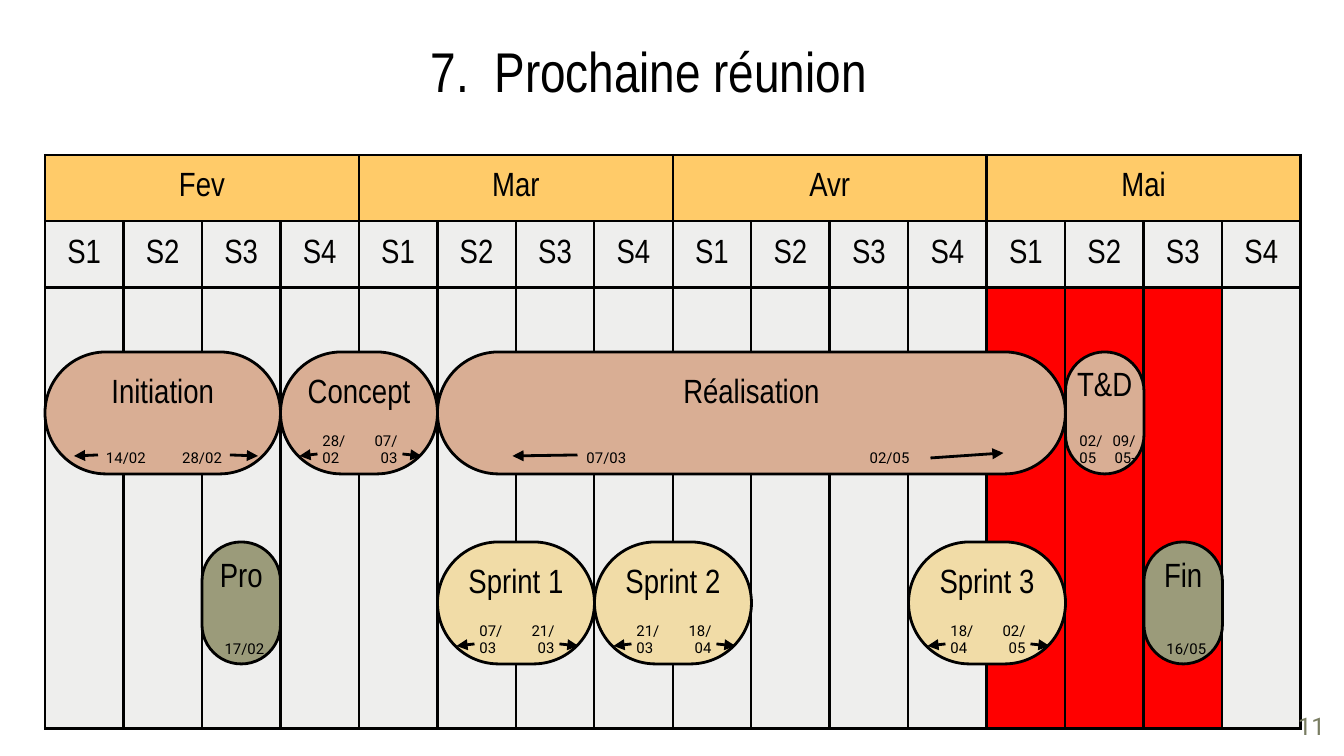
from dataclasses import dataclass

from lxml.etree import SubElement
from pptx import Presentation
from pptx.dml.color import RGBColor
from pptx.enum.shapes import MSO_CONNECTOR as Connector, MSO_SHAPE as Shape
from pptx.enum.text import MSO_ANCHOR as Anchor, PP_ALIGN as Align
from pptx.oxml import parse_xml
from pptx.oxml.ns import nsdecls, qn
from pptx.util import Pt

EMU_PER_PX = 914400 / 134.4


@dataclass(frozen=True)
class Theme:
    black: str = "000000"
    month: str = "FFCB69"
    week: str = "EEEEED"
    highlight: str = "FF0000"
    phase: str = "D9AE94"
    sprint: str = "F1DCA7"
    milestone: str = "9B9B7A"
    number: str = "797D62"
    narrow: str = "Arial Narrow"
    plain: str = "Roboto"
    title_size: int = 30
    label_size: int = 18
    number_size: int = 13
    date_size: int = 8
    line_width: float = 1.5


@dataclass(frozen=True)
class Date:
    text: str
    left: int
    width: int
    align: Align
    top: int = 0


@dataclass(frozen=True)
class Bar:
    label: str
    week: int
    span: int
    top: int
    color: str
    dates: tuple
    arrows: tuple = ()


THEME = Theme()
GRID_LEFT, GRID_TOP, GRID_WIDTH = 45, 155, 1256
ROW_HEIGHTS = (60, 65, 441)
MONTHS = ("Fev", "Mar", "Avr", "Mai")
WEEKS_PER_MONTH = 4
WEEK_COUNT = len(MONTHS) * WEEKS_PER_MONTH
HIGHLIGHTED_WEEKS = range(12, 15)
BAR_HEIGHT = 122
PHASE_TOP, SPRINT_TOP = 352, 542
INSET, DATE_INDENT = 13, 7
SHORT_ARROWS = ((37, 102, 19, 104), (122, 102, 141, 104))


def px(value):
    return round(value * EMU_PER_PX)


def color_of(code):
    return RGBColor.from_string(code)


def write(text_frame, text, size, font_name, align, color=THEME.black):
    text_frame.text = text
    paragraph = text_frame.paragraphs[0]
    paragraph.alignment = align
    for run in paragraph.runs:
        run.font.size = Pt(size)
        run.font.name = font_name
        run.font.bold = False
        run.font.color.rgb = color_of(color)
    return paragraph


def set_margins(target, left, top, right, bottom):
    target.margin_left, target.margin_top = px(left), px(top)
    target.margin_right, target.margin_bottom = px(right), px(bottom)


def add_text(shapes, box, margins, anchor, *style):
    text_frame = shapes.add_textbox(*map(px, box)).text_frame
    text_frame.word_wrap = True
    text_frame.vertical_anchor = anchor
    set_margins(text_frame, *margins)
    return write(text_frame, *style)


def add_date(shapes, date, bar_left, bar_top):
    box = (bar_left + date.left, bar_top + date.top, date.width, BAR_HEIGHT - date.top)
    paragraph = add_text(shapes, box, (0, 0, 0, DATE_INDENT), Anchor.BOTTOM,
                         date.text, THEME.date_size, THEME.plain, date.align)
    properties = paragraph._p.get_or_add_pPr()
    properties.set("marL", str(px(DATE_INDENT)))
    properties.set("indent", "0")


def add_arrow(shapes, start_x, start_y, end_x, end_y):
    arrow = shapes.add_connector(Connector.STRAIGHT, px(start_x), px(start_y),
                                 px(end_x), px(end_y))
    arrow.line.color.rgb = color_of(THEME.black)
    arrow.line.width = Pt(THEME.line_width)
    properties = arrow._element.spPr
    SubElement(properties.find(qn("a:ln")), qn("a:tailEnd"), type="triangle")
    SubElement(properties, qn("a:effectLst"))


def add_bar(slide, bar):
    shapes = slide.shapes.add_group_shape().shapes
    week_width = GRID_WIDTH / WEEK_COUNT
    left = GRID_LEFT + bar.week * week_width
    box = (left, bar.top, bar.span * week_width, BAR_HEIGHT)
    shape = shapes.add_shape(Shape.ROUNDED_RECTANGLE, *map(px, box))
    shape.adjustments[0] = 0.5
    shape.shadow.inherit = False
    shape.fill.solid()
    shape.fill.fore_color.rgb = color_of(bar.color)
    shape.line.color.rgb = color_of(THEME.black)
    shape.line.width = Pt(THEME.line_width)
    set_margins(shape.text_frame, 0, 0, 0, 0)
    shape.text_frame.vertical_anchor = Anchor.TOP
    write(shape.text_frame, bar.label, THEME.label_size, THEME.narrow, Align.CENTER)
    for date in bar.dates:
        add_date(shapes, date, left, bar.top)
    for start_x, start_y, end_x, end_y in bar.arrows:
        add_arrow(shapes, left + start_x, bar.top + start_y, left + end_x, bar.top + end_y)


def format_cell(cell, color):
    cell.fill.solid()
    cell.fill.fore_color.rgb = color_of(color)
    cell.vertical_anchor = Anchor.MIDDLE
    set_margins(cell, INSET, INSET, INSET, INSET)
    properties = cell._tc.get_or_add_tcPr()
    for index, side in enumerate(("lnL", "lnR", "lnT", "lnB")):
        properties.insert(index, parse_xml(
            f'<a:{side} {nsdecls("a")} w="{Pt(THEME.line_width)}"><a:solidFill>'
            f'<a:srgbClr val="{THEME.black}"/></a:solidFill></a:{side}>'))


def add_calendar(slide):
    box = (GRID_LEFT, GRID_TOP, GRID_WIDTH, sum(ROW_HEIGHTS))
    table = slide.shapes.add_table(len(ROW_HEIGHTS), WEEK_COUNT, *map(px, box)).table
    table.first_row = table.horz_banding = False
    for row, height in zip(table.rows, ROW_HEIGHTS):
        row.height = px(height)
    for week, column in enumerate(table.columns):
        column.width = px(GRID_WIDTH / WEEK_COUNT)
        body_color = THEME.highlight if week in HIGHLIGHTED_WEEKS else THEME.week
        for row, color in enumerate((THEME.month, THEME.week, body_color)):
            format_cell(table.cell(row, week), color)
        write(table.cell(1, week).text_frame, f"S{week % WEEKS_PER_MONTH + 1}",
              THEME.label_size, THEME.narrow, Align.CENTER)
    for index, month in enumerate(MONTHS):
        first = index * WEEKS_PER_MONTH
        cell = table.cell(0, first)
        cell.merge(table.cell(0, first + WEEKS_PER_MONTH - 1))
        write(cell.text_frame, month, THEME.label_size, THEME.narrow, Align.CENTER)


def date_pair(start, end, start_left=35, start_width=36, end_left=85, end_width=32):
    return (Date(start, start_left, start_width, Align.LEFT),
            Date(end, end_left, end_width, Align.RIGHT))


def two_week_bar(label, week, top, color, start, end):
    return Bar(label, week, 2, top, color, date_pair(start, end), SHORT_ARROWS)


def milestone(label, week, day):
    return Bar(label, week, 1, SPRINT_TOP, THEME.milestone,
               (Date(day, 0, 78, Align.CENTER, 63),))


def main():
    presentation = Presentation()
    presentation.slide_width, presentation.slide_height = px(1344), px(756)
    slide = presentation.slides.add_slide(presentation.slide_layouts[6])
    margins = (INSET,) * 4
    add_text(slide.shapes, (44, 24, 1210, 85), margins, Anchor.TOP,
             "7.  Prochaine réunion", THEME.title_size, THEME.narrow, Align.CENTER)
    add_calendar(slide)
    bars = (
        two_week_bar("Concept", 3, PHASE_TOP, THEME.phase, "28/02", "07/03"),
        Bar("Initiation", 0, 3, PHASE_TOP, THEME.phase,
            date_pair("14/02", "28/02", 54, 63, 125, 52),
            ((53, 103, 29, 104), (185, 103, 213, 104))),
        Bar("Réalisation", 5, 8, PHASE_TOP, THEME.phase,
            date_pair("07/03", "02/05", 142, 146, 340, 132),
            ((140, 103, 75, 104), (493, 106, 566, 101))),
        Bar("T&D", 13, 1, PHASE_TOP, THEME.phase,
            date_pair("02/05", "09/05-", 7, 30, 40, 30)),
        milestone("Pro", 2, "17/02"),
        two_week_bar("Sprint 1", 5, SPRINT_TOP, THEME.sprint, "07/03", "21/03"),
        two_week_bar("Sprint 2", 7, SPRINT_TOP, THEME.sprint, "21/03", "18/04"),
        two_week_bar("Sprint 3", 11, SPRINT_TOP, THEME.sprint, "18/04", "02/05"),
        milestone("Fin", 14, "16/05"),
    )
    for bar in bars:
        add_bar(slide, bar)
    add_text(slide.shapes, (1258, 698, 80, 58), margins, Anchor.TOP,
             "11", THEME.number_size, THEME.plain, Align.RIGHT, THEME.number)
    presentation.save("out.pptx")


if __name__ == "__main__":
    main()
